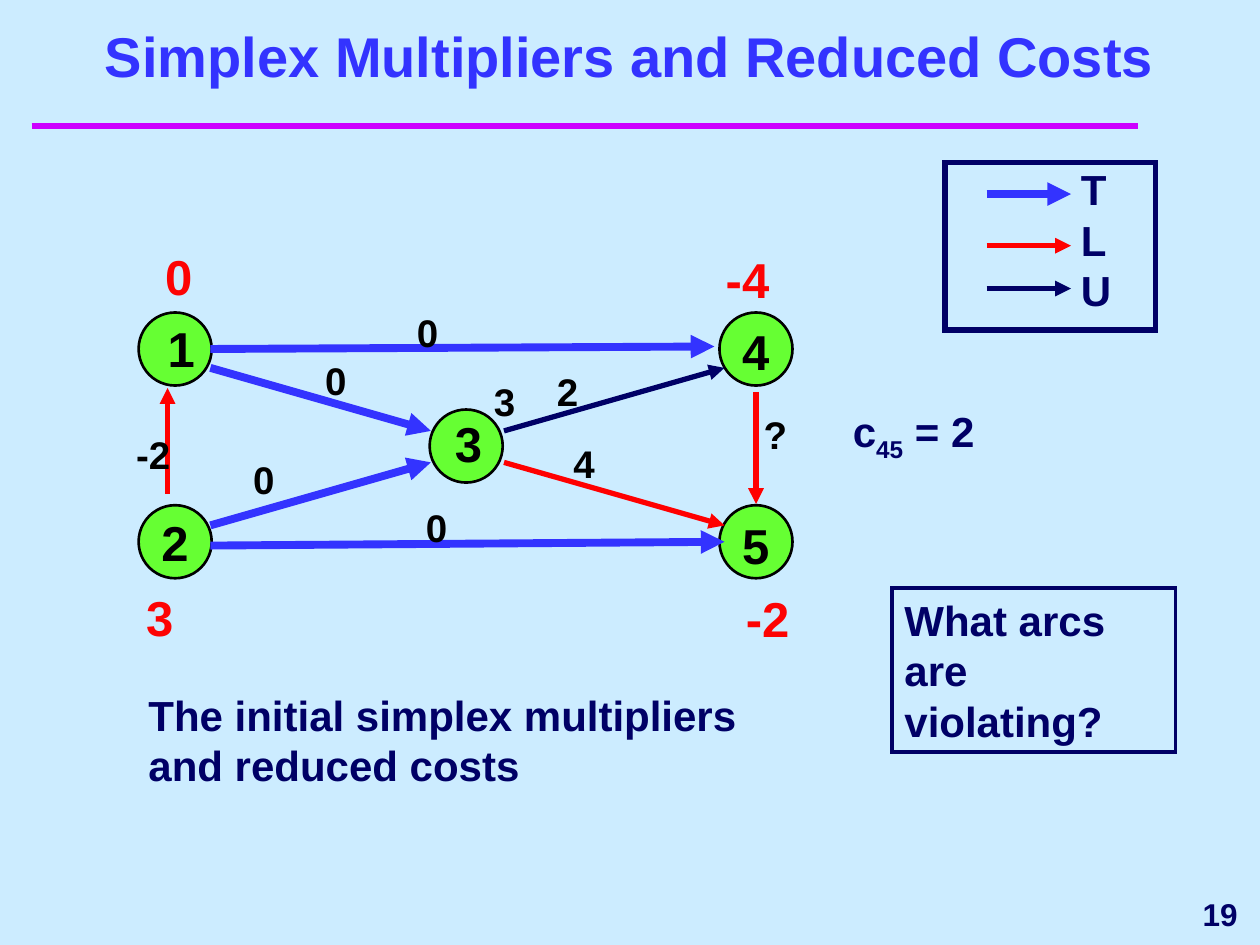
from lxml import etree
from pptx import Presentation
from pptx.dml.color import RGBColor
from pptx.enum.shapes import MSO_CONNECTOR, MSO_SHAPE
from pptx.enum.text import MSO_ANCHOR, MSO_AUTO_SIZE, PP_ALIGN
from pptx.oxml.ns import qn
from pptx.util import Inches, Pt

STRAIGHT = MSO_CONNECTOR.STRAIGHT
OVAL, RECT = MSO_SHAPE.OVAL, MSO_SHAPE.RECTANGLE
LEFT, CENTER, RIGHT = PP_ALIGN.LEFT, PP_ALIGN.CENTER, PP_ALIGN.RIGHT
TOP, MIDDLE, BOTTOM = MSO_ANCHOR.TOP, MSO_ANCHOR.MIDDLE, MSO_ANCHOR.BOTTOM
FIT, FIXED = MSO_AUTO_SIZE.SHAPE_TO_FIT_TEXT, MSO_AUTO_SIZE.NONE
rgb = RGBColor.from_string

BLUE, NAVY, RED, BLACK = "3333FF", "000066", "FF0000", "000000"
MULTIPLIER_RED = "FD0303"
THICK, THIN = 4.5, 3
NODE_SIZE = 0.58

prs = Presentation()
prs.slide_width, prs.slide_height = Inches(10), Inches(7.5)
slide = prs.slides.add_slide(prs.slide_layouts[6])
slide.background.fill.solid()
slide.background.fill.fore_color.rgb = rgb("CCECFF")
shapes = slide.shapes


def add_line(x1, y1, x2, y2, color, width, arrow=True):
    s = shapes.add_connector(STRAIGHT, Inches(x1), Inches(y1), Inches(x2), Inches(y2))
    s.line.color.rgb = rgb(color)
    s.line.width = Pt(width)
    if arrow:
        etree.SubElement(s.line._get_or_add_ln(), qn("a:tailEnd"), type="triangle")
    etree.SubElement(s._element.spPr, qn("a:effectLst"))


def write(s, lines, size, color, align=LEFT, anchor=TOP, wrap=True, fit=FIT, margins=(0.1, 0.05)):
    """Fill shape s with bold text; each line is a list of (text, baseline percent) runs."""
    tf = s.text_frame
    tf.word_wrap, tf.auto_size, tf.vertical_anchor = wrap, fit, anchor
    tf.margin_left = tf.margin_right = Inches(margins[0])
    tf.margin_top = tf.margin_bottom = Inches(margins[1])
    for i, runs in enumerate(lines):
        p = tf.add_paragraph() if i else tf.paragraphs[0]
        p.alignment = align
        for text, baseline in runs:
            r = p.add_run()
            r.text = text
            r.font.name, r.font.size, r.font.bold = "Arial", Pt(size), True
            r.font.color.rgb = rgb(color)
            if baseline:
                r.font._element.set("baseline", str(baseline * 1000))


# Title and rule
add_line(0.25, 1, 9.03, 1, "CC00FF", 4, arrow=False)
s = shapes.add_textbox(Inches(0), Inches(0.33), Inches(10), Inches(0.42))
write(s, [[("Simplex Multipliers and Reduced Costs", 0)]], 32, BLUE, CENTER, BOTTOM, fit=FIXED)

# Network nodes
for x, y in [(1.1, 2.48), (1.1, 4.01), (5.71, 4.01), (3.41, 3.25), (5.71, 2.48)]:
    s = shapes.add_shape(OVAL, Inches(x), Inches(y), Inches(NODE_SIZE), Inches(NODE_SIZE))
    s.shadow.inherit = False
    s.fill.solid()
    s.fill.fore_color.rgb = rgb("66FF33")
    s.line.color.rgb = rgb(BLACK)
    s.line.width = Pt(1.5)

# Arcs of the network, then the legend samples
arrows = [
    (1.67, 2.77, 5.67, 2.75, BLUE, THICK),
    (1.33, 3.92, 1.33, 3.08, RED, THIN),
    (1.67, 4.33, 5.75, 4.3, BLUE, THICK),
    (6, 3.11, 6, 4, RED, THIN),
    (4, 3.67, 5.75, 4.17, RED, THIN),
    (1.67, 2.92, 3.42, 3.42, BLUE, THICK),
    (1.67, 4.17, 3.42, 3.67, BLUE, THICK),
    (4, 3.42, 5.75, 2.92, NAVY, THIN),
    (7.83, 2.29, 8.5, 2.29, NAVY, THIN),
    (7.83, 1.95, 8.5, 1.95, RED, THIN),
    (7.83, 1.54, 8.5, 1.54, BLUE, THICK),
]
for arrow in arrows:
    add_line(*arrow)

# Node numbers, simplex multipliers and reduced costs
node_numbers = [("1", 1.33, 2.53, 0.22), ("2", 1.28, 4.07, 0.22), ("4", 5.89, 2.55, 0.22),
                ("5", 5.89, 4.09, 0.22), ("3", 3.61, 3.28, 0.22)]
multipliers = [("0", 1.31, 1.96, 0.22), ("-4", 5.76, 1.98, 0.35),
               ("3", 1.16, 4.66, 0.22), ("-2", 5.92, 4.67, 0.35)]
reduced_costs = [("0", 3.31, 2.45, 0.17), ("?", 6.06, 3.26, 0.19), ("4", 4.55, 3.49, 0.17),
                 ("0", 3.38, 4, 0.17), ("0", 2.01, 3.62, 0.26), ("-2", 1.08, 3.42, 0.3),
                 ("0", 2.58, 2.83, 0.17), ("2", 4.42, 2.92, 0.17), ("3", 3.92, 3, 0.17)]
for labels, size, height, color in [(node_numbers, 28, 0.47, BLACK),
                                    (multipliers, 28, 0.47, MULTIPLIER_RED),
                                    (reduced_costs, 22, 0.37, BLACK)]:
    for text, x, y, width in labels:
        s = shapes.add_textbox(Inches(x), Inches(y), Inches(width), Inches(height))
        write(s, [[(text, 0)]], size, color, wrap=False, margins=(0, 0))

# Legend frame and question box
frames = [(7.5, 1.29, 1.67, 1.33, 3, ""),
          (7.08, 4.67, 2.25, 1.3, 2.25, "What arcs are violating?")]
for x, y, width, height, weight, text in frames:
    s = shapes.add_shape(RECT, Inches(x), Inches(y), Inches(width), Inches(height))
    s.shadow.inherit = False
    s.fill.background()
    s.line.color.rgb = rgb(NAVY)
    s.line.width = Pt(weight)
    etree.SubElement(s.line._get_or_add_ln(), qn("a:miter"), lim="800000")
    if text:
        write(s, [[(text, 0)]], 24, NAVY)

# Legend letters, caption and cost note
s = shapes.add_textbox(Inches(8.48), Inches(1.25), Inches(0.44), Inches(1.3))
write(s, [[(letter, 0)] for letter in "TLU"], 24, NAVY, wrap=False)
s = shapes.add_textbox(Inches(1.08), Inches(5.42), Inches(4.92), Inches(0.9))
write(s, [[("The initial simplex multipliers and reduced costs", 0)]], 24, NAVY)
s = shapes.add_textbox(Inches(6.67), Inches(3.17), Inches(1.75), Inches(0.56))
write(s, [[("c", 0), ("45", -25), (" = 2", 0)]], 24, NAVY)

# Slide number
s = shapes.add_textbox(Inches(8), Inches(7), Inches(1.92), Inches(0.5))
write(s, [[("19", 0)]], 18, NAVY, RIGHT, MIDDLE, fit=FIXED)

prs.save("out.pptx")
